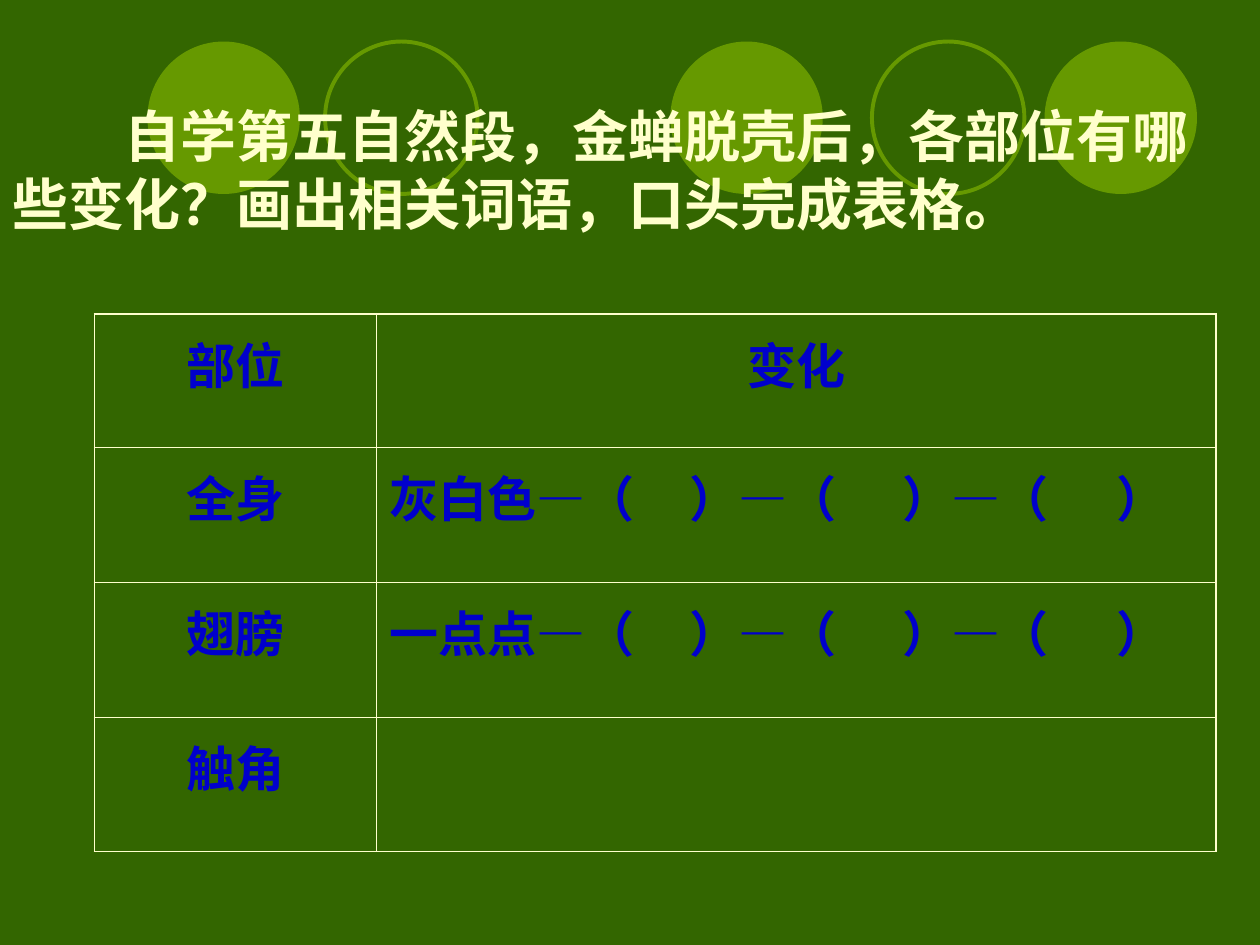
import pptx
import pptx.util
import pptx.dml.color
import pptx.enum.shapes
import pptx.enum.text
import pptx.oxml.ns
from lxml import etree

COLORS = {
    "background": "336600",
    "circle": "669900",
    "cream": "FFFFCC",
    "blue": "0000CC",
}
WIDTH = pptx.util.Inches(10)
HEIGHT = pptx.util.Inches(7.5)
CIRCLE_SIZE = 1.21
FILLED_CIRCLES = (1.17, 5.32, 8.29)
RING_CIRCLES = (2.58, 6.92)
COLUMNS = (2.24, 6.66)
ROWS = (1.06, 1.07, 1.07, 1.07)
OUTER_LINE, INNER_LINE = 1.08, 0.45
BLANK_ENDS = (2.38, 4.07, 5.77)  # tab stops that close each pair of brackets

TITLE = "自学第五自然段，金蝉脱壳后，各部位有哪些变化？画出相关词语，口头完成表格。"
BLANKS = "—（\t）" * len(BLANK_ENDS)
CONTENT = (
    ("部位", "变化"),
    ("全身", "灰白色" + BLANKS),
    ("翅膀", "一点点" + BLANKS),
    ("触角", ""),
)


def color(name):
    return pptx.dml.color.RGBColor.from_string(COLORS[name])


def add_element(parent, tag, **attributes):
    return etree.SubElement(parent, pptx.oxml.ns.qn(tag), attributes)


def style_paragraph(para, font_name, size, color_name):
    font = para.font
    font.name = font_name
    font.size = pptx.util.Pt(size)
    font.bold = True
    font.color.rgb = color(color_name)


def add_circle(page, left, filled):
    size = pptx.util.Inches(CIRCLE_SIZE)
    circle = page.shapes.add_shape(
        pptx.enum.shapes.MSO_SHAPE.OVAL,
        pptx.util.Inches(left), pptx.util.Inches(0.33), size, size)
    circle.shadow.inherit = False
    if filled:
        circle.fill.solid()
        circle.fill.fore_color.rgb = color("circle")
        circle.line.fill.background()
    else:
        circle.fill.background()
        circle.line.color.rgb = color("circle")
        circle.line.width = pptx.util.Pt(2.25)


def add_title(page):
    box = page.shapes.add_textbox(
        0, pptx.util.Inches(0.76), int(WIDTH * 0.98), pptx.util.Inches(1.17))
    box.text_frame.word_wrap = True
    para = box.text_frame.paragraphs[0]
    para.text = TITLE
    # First line set in by two characters
    para._p.get_or_add_pPr().set("indent", str(pptx.util.Pt(2 * 32)))
    style_paragraph(para, "Times New Roman", 32, "cream")


def set_borders(cell, row, column):
    outer_sides = {
        "a:lnL": column == 0,
        "a:lnR": column == len(COLUMNS) - 1,
        "a:lnT": row == 0,
        "a:lnB": row == len(ROWS) - 1,
    }
    properties = cell._tc.get_or_add_tcPr()
    for side, is_outer in outer_sides.items():
        width = pptx.util.Pt(OUTER_LINE if is_outer else INNER_LINE)
        line = add_element(properties, side, w=str(width))
        fill = add_element(line, "a:solidFill")
        add_element(fill, "a:srgbClr", val=COLORS["cream"])


def fill_cell(cell, text, centred):
    cell.margin_top = pptx.util.Inches(0.11)
    para = cell.text_frame.paragraphs[0]
    para.text = text
    if centred:
        para.alignment = pptx.enum.text.PP_ALIGN.CENTER
    if "\t" in text:
        stops = add_element(para._p.get_or_add_pPr(), "a:tabLst")
        for position in BLANK_ENDS:
            add_element(stops, "a:tab", pos=str(pptx.util.Inches(position)), algn="l")
    style_paragraph(para, "Arial", 28, "blue")


def add_change_table(page):
    frame = page.shapes.add_table(
        len(ROWS), len(COLUMNS),
        pptx.util.Inches(0.75), pptx.util.Inches(2.49),
        pptx.util.Inches(sum(COLUMNS)), pptx.util.Inches(sum(ROWS)))
    table = frame.table
    table.first_row = False
    table.horz_banding = False
    for column, width in zip(table.columns, COLUMNS):
        column.width = pptx.util.Inches(width)
    for row, height in zip(table.rows, ROWS):
        row.height = pptx.util.Inches(height)
    for row, texts in enumerate(CONTENT):
        for column, text in enumerate(texts):
            cell = table.cell(row, column)
            set_borders(cell, row, column)
            cell.fill.background()
            fill_cell(cell, text, centred=row == 0 or column == 0)


def main():
    deck = pptx.Presentation()
    deck.slide_width = WIDTH
    deck.slide_height = HEIGHT
    page = deck.slides.add_slide(deck.slide_layouts[6])
    page.background.fill.solid()
    page.background.fill.fore_color.rgb = color("background")

    # Row of circles behind the title
    for left in FILLED_CIRCLES:
        add_circle(page, left, filled=True)
    for left in RING_CIRCLES:
        add_circle(page, left, filled=False)

    # Task and table to complete
    add_title(page)
    add_change_table(page)
    deck.save("out.pptx")


if __name__ == "__main__":
    main()
